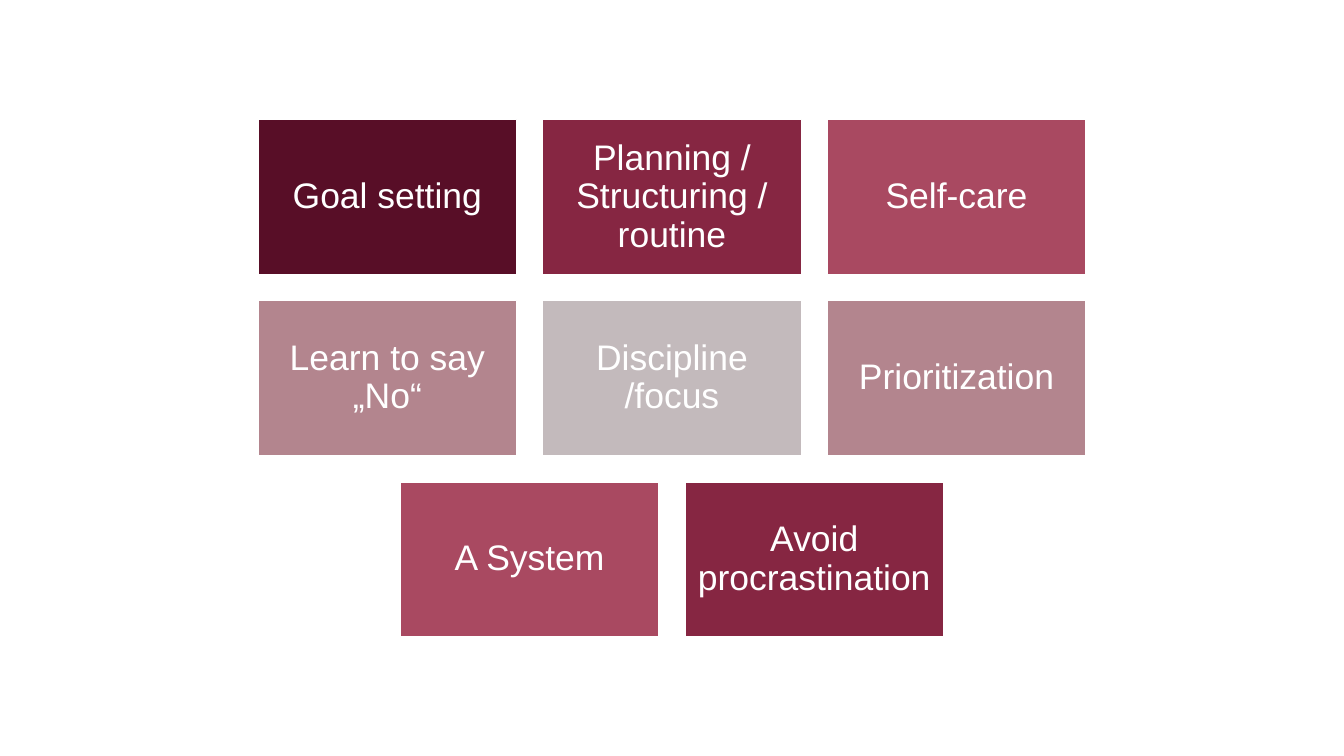
from dataclasses import dataclass

from pptx import Presentation
from pptx.dml.color import RGBColor
from pptx.enum.shapes import MSO_SHAPE
from pptx.enum.text import MSO_ANCHOR, PP_ALIGN
from pptx.util import Inches, Pt

RECTANGLE = MSO_SHAPE.RECTANGLE
MIDDLE = MSO_ANCHOR.MIDDLE
CENTER = PP_ALIGN.CENTER

SLIDE_WIDTH, SLIDE_HEIGHT = 20, 11.25
CARD_WIDTH, CARD_HEIGHT = 3.85, 2.31
GAP = CARD_WIDTH / 10
GRID_TOP = 1.78
BLANK_LAYOUT = 6


@dataclass(frozen=True)
class Theme:
    font: str = "Arial"
    size: float = 38
    line_width: float = 1.5
    inset: float = 0.16
    white: str = "FFFFFF"
    burgundy: str = "580E27"
    wine: str = "862642"
    rose: str = "A94961"
    mauve: str = "B3858E"
    grey: str = "C3BABC"


THEME = Theme()
ROWS = [
    [("Goal setting", THEME.burgundy),
     ("Planning / Structuring / routine", THEME.wine),
     ("Self-care", THEME.rose)],
    [("Learn to say „No“", THEME.mauve),
     ("Discipline /focus", THEME.grey),
     ("Prioritization", THEME.mauve)],
    [("A System", THEME.rose),
     ("Avoid procrastination", THEME.wine)],
]


class SlideBuilder:
    """Draws themed cards, in centred rows, on one slide."""

    def __init__(self, slide, theme):
        self.slide = slide
        self.theme = theme

    def card(self, text, fill, left, top):
        theme = self.theme
        white = RGBColor.from_string(theme.white)
        box = self.slide.shapes.add_shape(
            RECTANGLE, Inches(left), Inches(top), Inches(CARD_WIDTH), Inches(CARD_HEIGHT))
        box.shadow.inherit = False
        box.fill.solid()
        box.fill.fore_color.rgb = RGBColor.from_string(fill)
        box.line.color.rgb = white
        box.line.width = Pt(theme.line_width)

        frame = box.text_frame
        frame.word_wrap = True
        frame.vertical_anchor = MIDDLE
        frame.margin_left = frame.margin_right = Inches(theme.inset)
        frame.margin_top = frame.margin_bottom = Inches(theme.inset)
        frame.text = text
        para = frame.paragraphs[0]
        para.alignment = CENTER
        para.line_spacing = 0.9
        para.font.name = theme.font
        para.font.size = Pt(theme.size)
        para.font.color.rgb = white

    def row(self, cards, top):
        row_width = len(cards) * (CARD_WIDTH + GAP) - GAP
        row_left = (SLIDE_WIDTH - row_width) / 2
        for column, (text, fill) in enumerate(cards):
            self.card(text, fill, row_left + column * (CARD_WIDTH + GAP), top)


def main():
    deck = Presentation()
    deck.slide_width = Inches(SLIDE_WIDTH)
    deck.slide_height = Inches(SLIDE_HEIGHT)
    page = deck.slides.add_slide(deck.slide_layouts[BLANK_LAYOUT])
    builder = SlideBuilder(page, THEME)
    for index, cards in enumerate(ROWS):
        builder.row(cards, GRID_TOP + index * (CARD_HEIGHT + GAP))
    deck.save("out.pptx")


if __name__ == "__main__":
    main()
